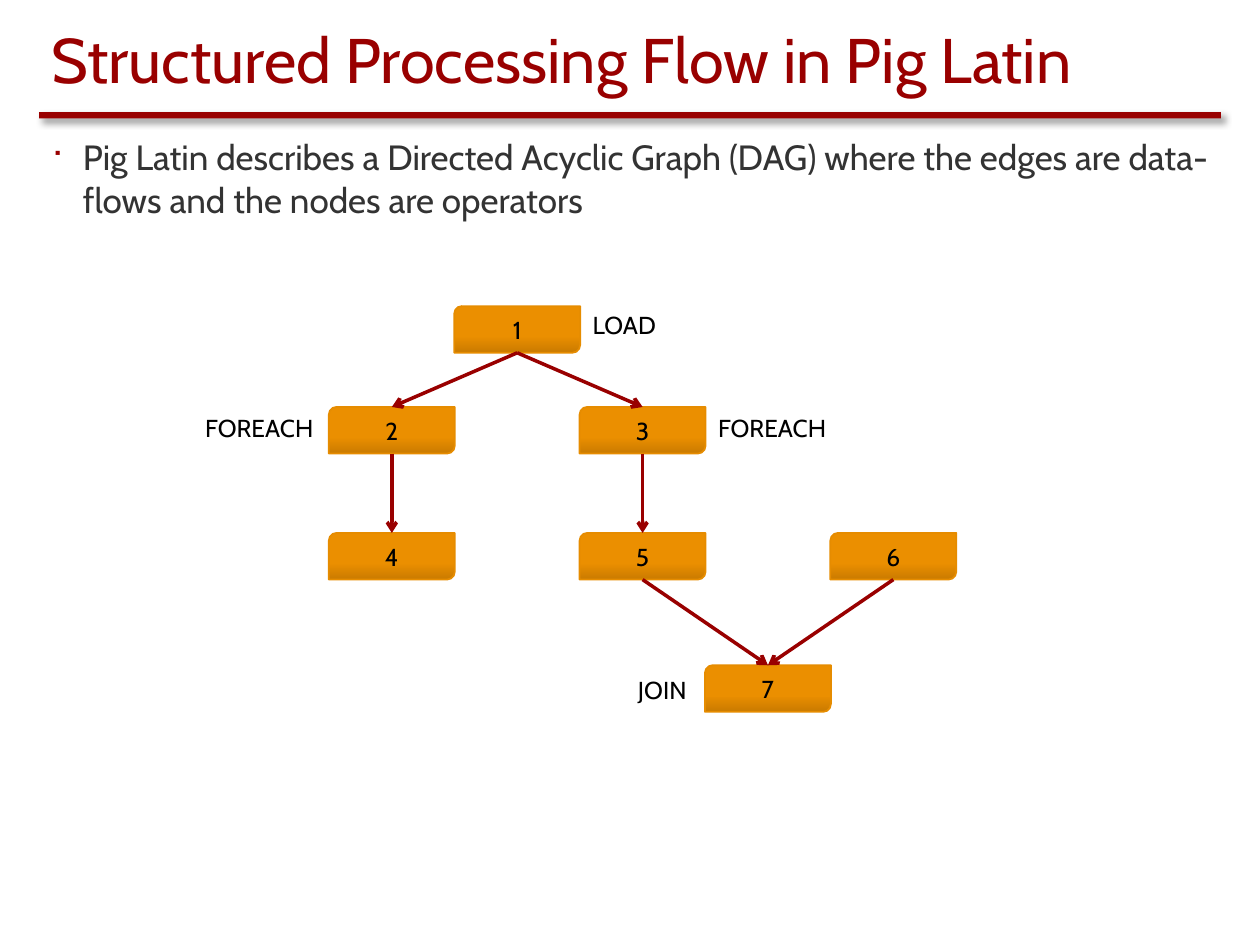
from lxml.etree import SubElement
from pptx import Presentation
from pptx.dml.color import RGBColor as Rgb
from pptx.enum.shapes import MSO_CONNECTOR as Connector, MSO_SHAPE as Shape
from pptx.enum.text import MSO_ANCHOR as Anchor, PP_ALIGN as Align
from pptx.oxml import parse_xml
from pptx.oxml.ns import nsdecls, qn
from pptx.util import Inches, Pt

FONT = "Cabin"
COLORS = {"accent": "990000", "body": "333333", "ink": "000000",
          "shade": "C97A00", "amber": "EB8F00", "edge": "E68C00"}

# Slide frame and node grid, in inches
MARGIN, CONTENT_WIDTH = 0.31, 9.38
GRID_LEFT, COLUMN_STEP = 2.61, 0.995
ROW_TOPS = [2.43, 3.23, 4.23, 5.28]
NODE_WIDTH, NODE_HEIGHT = 1, 0.37

# Node: (column, row)
NODES = {"1": (1, 0), "2": (0, 1), "3": (2, 1), "4": (0, 2),
         "5": (2, 2), "6": (4, 2), "7": (3, 3)}
FLOWS = ["12", "13", "24", "35", "57", "67"]
# Operator name, node, side of the node, label width, vertical offset
OPERATORS = [("LOAD", "1", "right", 0.73, -0.02),
             ("FOREACH", "2", "left", 1.08, 0),
             ("FOREACH", "3", "right", 1.08, 0),
             ("JOIN", "7", "left", 0.63, 0.03)]


def color(name):
    return Rgb.from_string(COLORS[name])


def node_corner(node):
    column, row = NODES[node]
    return GRID_LEFT + column * COLUMN_STEP, ROW_TOPS[row]


def add_span(para, text, size, color_name):
    span = para.add_run()
    span.text = text
    span.font.size = Pt(size)
    span.font.name = FONT
    span.font.color.rgb = color(color_name)


def add_text(page, area, text, size, color_name, anchor=Anchor.TOP, wrap=True):
    box = page.shapes.add_textbox(*map(Inches, area))
    box.text_frame.word_wrap = wrap
    box.text_frame.vertical_anchor = anchor
    para = box.text_frame.paragraphs[0]
    add_span(para, text, size, color_name)
    return para


def add_bullet(para):
    para.space_before = Pt(18)
    props = para._p.get_or_add_pPr()
    props.set("marL", str(Inches(0.25)))
    props.set("indent", str(-Inches(0.25)))
    tint = SubElement(props, qn("a:buClr"))
    SubElement(tint, qn("a:srgbClr"), val=COLORS["accent"])
    SubElement(props, qn("a:buSzPct"), val="80000")
    SubElement(props, qn("a:buFont"), typeface="Wingdings")
    SubElement(props, qn("a:buChar"), char="■")


def add_rule(page):
    area = (MARGIN, 0.89, CONTENT_WIDTH, 0.05)
    rule = page.shapes.add_shape(Shape.RECTANGLE, *map(Inches, area))
    rule.fill.solid()
    rule.fill.fore_color.rgb = color("accent")
    rule.line.fill.background()
    rule._element.spPr.append(parse_xml(
        f'<a:effectLst {nsdecls("a")}>'
        f'<a:outerShdw blurRad="{Pt(4)}" dist="{Pt(3)}" dir="2700000" algn="tl">'
        f'<a:srgbClr val="{COLORS["ink"]}"><a:alpha val="43000"/></a:srgbClr>'
        '</a:outerShdw></a:effectLst>'))


def add_node(page, name):
    area = (*node_corner(name), NODE_WIDTH, NODE_HEIGHT)
    node = page.shapes.add_shape(Shape.ROUND_2_DIAG_RECTANGLE, *map(Inches, area))
    node.shadow.inherit = False
    node.fill.gradient()
    node.fill.gradient_angle = 90
    stops = zip(node.fill.gradient_stops, [("shade", 0), ("amber", 0.35)])
    for stop, (color_name, position) in stops:
        stop.color.rgb = color(color_name)
        stop.position = position
    node.line.color.rgb = color("edge")
    node.line.width = Pt(1)
    node.text_frame.vertical_anchor = Anchor.MIDDLE
    para = node.text_frame.paragraphs[0]
    para.alignment = Align.CENTER
    add_span(para, name, 14, "ink")
    return node


def add_flow(page, source, target):
    flow = page.shapes.add_connector(Connector.STRAIGHT, 0, 0, 0, 0)
    flow.begin_connect(source, 2)
    flow.end_connect(target, 0)
    flow.line.color.rgb = color("accent")
    flow.line.width = Pt(2)
    SubElement(flow.line._get_or_add_ln(), qn("a:tailEnd"), type="arrow")
    SubElement(flow._element.spPr, qn("a:effectLst"))


def add_operator(page, text, node, side, width, offset):
    left, top = node_corner(node)
    left += NODE_WIDTH if side == "right" else -width
    add_text(page, (left, top + offset, width, 0.34), text, 14, "ink", wrap=False)


def main():
    deck = Presentation()
    deck.slide_width, deck.slide_height = Inches(10), Inches(7.5)
    page = deck.slides.add_slide(deck.slide_layouts[6])

    # Heading and explanation
    add_rule(page)
    add_text(page, (MARGIN, 0.14, CONTENT_WIDTH, 0.67),
             "Structured Processing Flow in Pig Latin", 36, "accent", Anchor.BOTTOM)
    add_bullet(add_text(
        page, (MARGIN, 1.03, CONTENT_WIDTH, 5.91),
        "Pig Latin describes a Directed Acyclic Graph (DAG) where the edges are "
        "data-flows and the nodes are operators", 20, "body"))

    # Graph
    nodes = {name: add_node(page, name) for name in NODES}
    for source, target in FLOWS:
        add_flow(page, nodes[source], nodes[target])
    for operator in OPERATORS:
        add_operator(page, *operator)

    deck.save("out.pptx")


if __name__ == "__main__":
    main()
